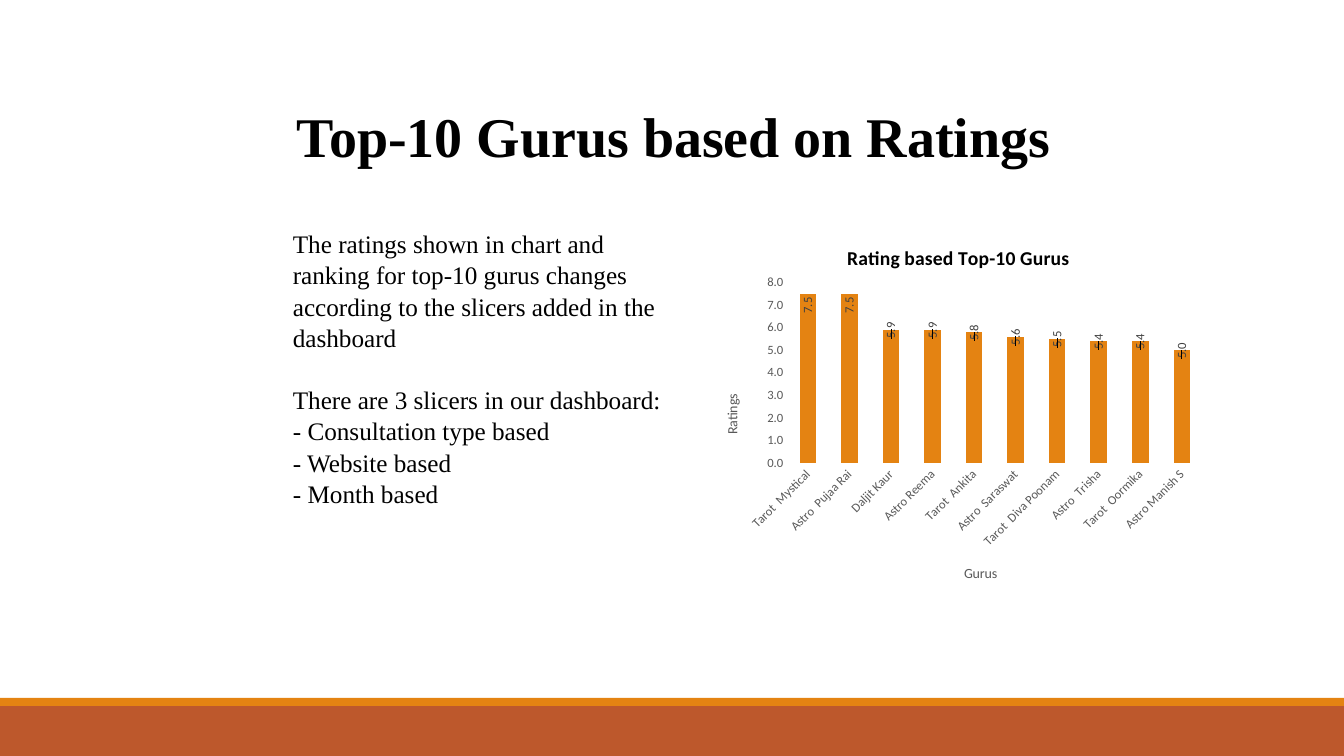
from dataclasses import dataclass

from lxml import etree
from pptx import Presentation
from pptx.chart.data import CategoryChartData
from pptx.dml.color import RGBColor
from pptx.enum.chart import XL_CHART_TYPE, XL_LABEL_POSITION as LabelPosition, XL_TICK_MARK as TickMark
from pptx.enum.shapes import MSO_SHAPE
from pptx.oxml.ns import qn
from pptx.util import Emu, Pt

EMU_PER_PX = 914400 / 100.8
COLORS = {"rust": "BD582C", "orange": "E48312", "black": "000000",
          "axis": "595959", "label": "404040"}
SERIF, SANS = "Times New Roman", "Calibri"
RATINGS = {
    "Tarot  Mystical": 7.5, "Astro  Pujaa Rai": 7.5, "Daljit Kaur": 5.9,
    "Astro Reema": 5.9, "Tarot  Ankita": 5.8, "Astro  Saraswat": 5.6,
    "Tarot  Diva Poonam": 5.5, "Astro  Trisha": 5.4, "Tarot  Oormika": 5.4,
    "Astro Manish S": 5.0,
}
RAISED_FROM = 2  # labels from this bar on straddle the bar's top edge


@dataclass(frozen=True)
class Box:
    left: int
    top: int
    width: int
    height: int

    def emu(self) -> list[Emu]:
        return [px(n) for n in (self.left, self.top, self.width, self.height)]


@dataclass(frozen=True)
class Band:
    box: Box
    color: str


@dataclass(frozen=True)
class Line:
    text: str
    space_before: float = 0


@dataclass(frozen=True)
class TextBlock:
    box: Box
    lines: tuple[Line, ...]
    size: int
    bold: bool = False
    line_spacing: float = 1.0


BANDS = (Band(Box(0, 706, 1344, 50), "rust"), Band(Box(0, 698, 1344, 8), "orange"))
TEXTS = (
    TextBlock(Box(287, 97, 860, 146), (Line("Top-10 Gurus based on Ratings"),), 40, bold=True),
    TextBlock(Box(283, 222, 399, 316), (
        Line("The ratings shown in chart and ranking for top-10 gurus changes "
             "according to the slicers added in the dashboard"),
        Line("There are 3 slicers in our dashboard:", space_before=21.5),
        Line("- Consultation type based"),
        Line("- Website based"),
        Line("- Month based"),
    ), 18, line_spacing=1.04),
)
CHART_BOX = Box(700, 222, 513, 377)


def px(count: int) -> Emu:
    return Emu(round(count * EMU_PER_PX))


def rgb(name: str) -> RGBColor:
    return RGBColor.from_string(COLORS[name])


def set_all(target, **values) -> None:
    for name, value in values.items():
        setattr(target, name, value)


def style_font(font, size: int, color: str, family: str = SANS, bold: bool = False) -> None:
    set_all(font, size=Pt(size), name=family, bold=bold)
    font.color.rgb = rgb(color)


def add_band(page, band: Band) -> None:
    shape = page.shapes.add_shape(MSO_SHAPE.RECTANGLE, *band.box.emu())
    shape.shadow.inherit = False
    shape.fill.solid()
    shape.fill.fore_color.rgb = rgb(band.color)
    shape.line.fill.background()


def add_text(page, block: TextBlock) -> None:
    frame = page.shapes.add_textbox(*block.box.emu()).text_frame
    frame.word_wrap = True
    for index, line in enumerate(block.lines):
        para = frame.add_paragraph() if index else frame.paragraphs[0]
        set_all(para, line_spacing=block.line_spacing, space_before=Pt(line.space_before))
        span = para.add_run()
        span.text = line.text
        style_font(span.font, block.size, "black", SERIF, block.bold)


def manual_layout(**values: float | str) -> etree.ElementBase:
    layout = etree.Element(qn("c:layout"))
    manual = etree.SubElement(layout, qn("c:manualLayout"))
    for tag, value in values.items():
        etree.SubElement(manual, qn(f"c:{tag}")).set("val", str(value))
    return layout


def place(parent, after: str, layout) -> None:
    """Put the layout in its schema position, replacing any earlier one."""
    for old in parent.findall(qn("c:layout")):
        parent.remove(old)
    anchor = parent.find(qn(after)) if after else None
    parent.insert(0, layout) if anchor is None else anchor.addnext(layout)


def set_title(owner, text: str, size: int, color: str, left: int, top: int, bold: bool = False) -> None:
    """Title a chart or axis, at a place in px from the chart's corner."""
    owner.has_title = True
    title = owner.chart_title if hasattr(owner, "chart_title") else owner.axis_title
    span = title.text_frame.paragraphs[0].add_run()
    span.text = text
    style_font(span.font, size, color, bold=bold)
    place(title._element, "c:tx", manual_layout(
        xMode="edge", yMode="edge",
        x=round(left / CHART_BOX.width, 2), y=round(top / CHART_BOX.height, 2)))


def rotate(text_parent, degrees: int) -> None:
    body = text_parent.find(qn("c:txPr")).find(qn("a:bodyPr"))
    body.set("rot", str(degrees * 60000))
    body.set("vert", "horz")


def style_axis(axis) -> None:
    set_all(axis, has_major_gridlines=False, major_tick_mark=TickMark.NONE,
            minor_tick_mark=TickMark.NONE)
    axis.format.line.fill.background()
    style_font(axis.tick_labels.font, 9, "axis")


def label_bars(series) -> None:
    for index in range(len(RATINGS)):
        label = series.points[index].data_label
        style_font(label.font, 9, "label")
        label.position = LabelPosition.INSIDE_END
    for index, element in enumerate(series._element.iter(qn("c:dLbl"))):
        rotate(element, -90)
        if index >= RAISED_FROM:
            place(element, "c:idx", manual_layout(x=0, y=-0.03))


def add_rating_chart(page) -> None:
    data = CategoryChartData(number_format="0.0")
    data.categories = list(RATINGS)
    data.add_series("Series 1", list(RATINGS.values()))
    chart = page.shapes.add_chart(XL_CHART_TYPE.COLUMN_STACKED, *CHART_BOX.emu(), data).chart
    chart.has_legend = False
    style_font(chart.font, 10, "black")
    set_title(chart, "Rating based Top-10 Gurus", 14, "black", 142, 18, bold=True)

    gurus, ratings = chart.category_axis, chart.value_axis
    for axis in (gurus, ratings):
        style_axis(axis)
    set_title(gurus, "Gurus", 10, "axis", 260, 339)
    set_title(ratings, "Ratings", 10, "axis", 21, 170)
    rotate(gurus._element, -45)
    set_all(ratings, minimum_scale=0, maximum_scale=8, major_unit=1)
    set_all(ratings.tick_labels, number_format="0.0", number_format_is_linked=False)

    plot = chart.plots[0]
    set_all(plot, gap_width=150, overlap=100, vary_by_categories=False)
    series = plot.series[0]
    series.format.fill.solid()
    series.format.fill.fore_color.rgb = rgb("orange")
    label_bars(series)
    plot_area = chart._chartSpace.find(qn("c:chart")).find(qn("c:plotArea"))
    place(plot_area, "", manual_layout(
        layoutTarget="inner", xMode="edge", yMode="edge", x=0.17, y=0.16, w=0.81, h=0.48))


def main() -> None:
    deck = Presentation()
    set_all(deck, slide_width=px(1344), slide_height=px(756))
    page = deck.slides.add_slide(deck.slide_layouts[6])
    for band in BANDS:
        add_band(page, band)
    for block in TEXTS:
        add_text(page, block)
    add_rating_chart(page)
    deck.save("out.pptx")


if __name__ == "__main__":
    main()
